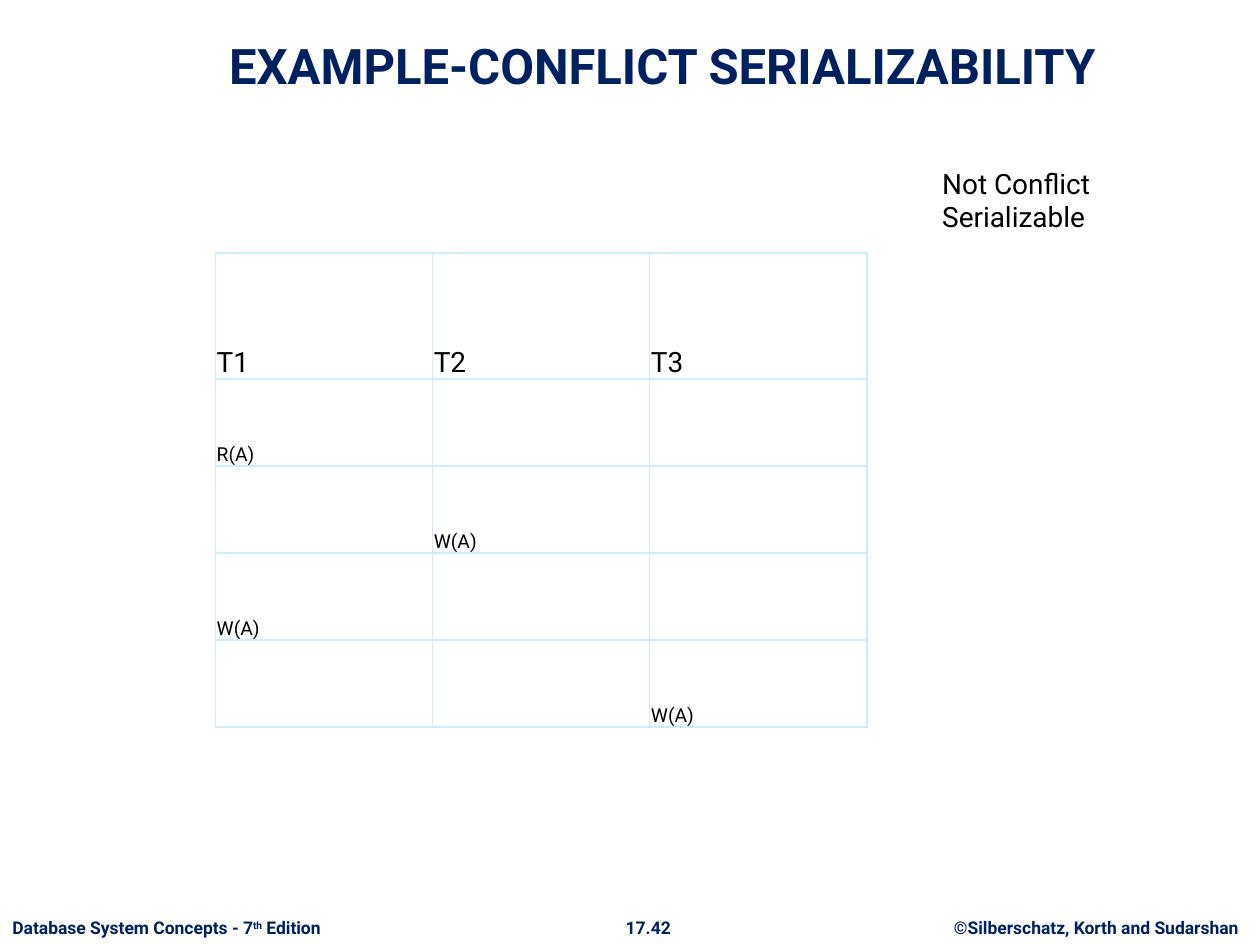
"""Build a slide with a schedule that is not conflict serializable."""
from lxml.etree import SubElement
from pptx import Presentation
from pptx.dml.color import RGBColor
from pptx.enum.text import MSO_ANCHOR, PP_ALIGN
from pptx.oxml.ns import qn
from pptx.util import Inches, Pt

NAVY = RGBColor(0x00, 0x20, 0x60)
BLACK = RGBColor(0x00, 0x00, 0x00)
WHITE = RGBColor(0xFF, 0xFF, 0xFF)
SKY = RGBColor(0xCC, 0xEC, 0xFF)


def style(para, size, color, bold=False):
    font = para.font
    font.name, font.size, font.bold = "Roboto", Pt(size), bold
    font.color.rgb = color


def add_text(left, top, width, height, wrap=False):
    box = slide.shapes.add_textbox(Inches(left), Inches(top), Inches(width), Inches(height))
    box.text_frame.word_wrap = wrap
    return box.text_frame.paragraphs[0]


deck = Presentation()
deck.slide_width, deck.slide_height = Inches(10), Inches(7.5)
slide = deck.slides.add_slide(deck.slide_layouts[5])

title = slide.shapes.title
title.left, title.top = Inches(0.84), Inches(0.13)
title.width, title.height = Inches(8.83), Inches(0.67)
title.text_frame.text = "EXAMPLE-CONFLICT SERIALIZABILITY"
title.text_frame.vertical_anchor = MSO_ANCHOR.BOTTOM
head = title.text_frame.paragraphs[0]
head.alignment = PP_ALIGN.CENTER
style(head, 28, NAVY, True)

rows = [
    ("T1", "T2", "T3"),
    ("R(A)", "", ""),
    ("", "W(A)", ""),
    ("W(A)", "", ""),
    ("", "", "W(A)"),
]
frame = slide.shapes.add_table(
    len(rows), 3, Inches(1.71), Inches(2.01), Inches(5.17), Inches(3.76))
table = frame.table
for col in table.columns:
    col.width = Inches(5.17 / 3)
for i, row in enumerate(rows):
    table.rows[i].height = Inches(0.69 if i else 1)
    for j, text in enumerate(row):
        cell = table.cell(i, j)
        cell.text = text
        cell.vertical_anchor = MSO_ANCHOR.BOTTOM
        cell.margin_left = cell.margin_right = cell.margin_top = Inches(0.01)
        cell.margin_bottom = 0
        style(cell.text_frame.paragraphs[0], 11 if i else 16, BLACK)
        props = cell._tc.get_or_add_tcPr()
        for side in ("a:lnL", "a:lnR", "a:lnT", "a:lnB"):
            line = SubElement(props, qn(side), w=str(Pt(1)))
            fill = SubElement(line, qn("a:solidFill"))
            SubElement(fill, qn("a:srgbClr"), val=str(SKY))
        cell.fill.solid()
        cell.fill.fore_color.rgb = WHITE

note = add_text(7.38, 1.27, 1.76, 0.64, wrap=True)
note.text = "Not Conflict Serializable"
style(note, 16, BLACK)

credit = add_text(7.4, 7.23, 2.6, 0.27)
credit.text = "©Silberschatz, Korth and Sudarshan"
page = add_text(4.86, 7.23, 0.57, 0.27)
page.text = "17.42"
book = add_text(0, 7.23, 2.81, 0.27)
for text in ("Database System Concepts - 7", "th", " Edition"):
    run = book.add_run()
    run.text = text
    if text == "th":
        run.font._element.set("baseline", "30000")
for para in (credit, page, book):
    style(para, 10, NAVY, True)
credit.alignment = page.alignment = PP_ALIGN.CENTER

deck.save("out.pptx")
